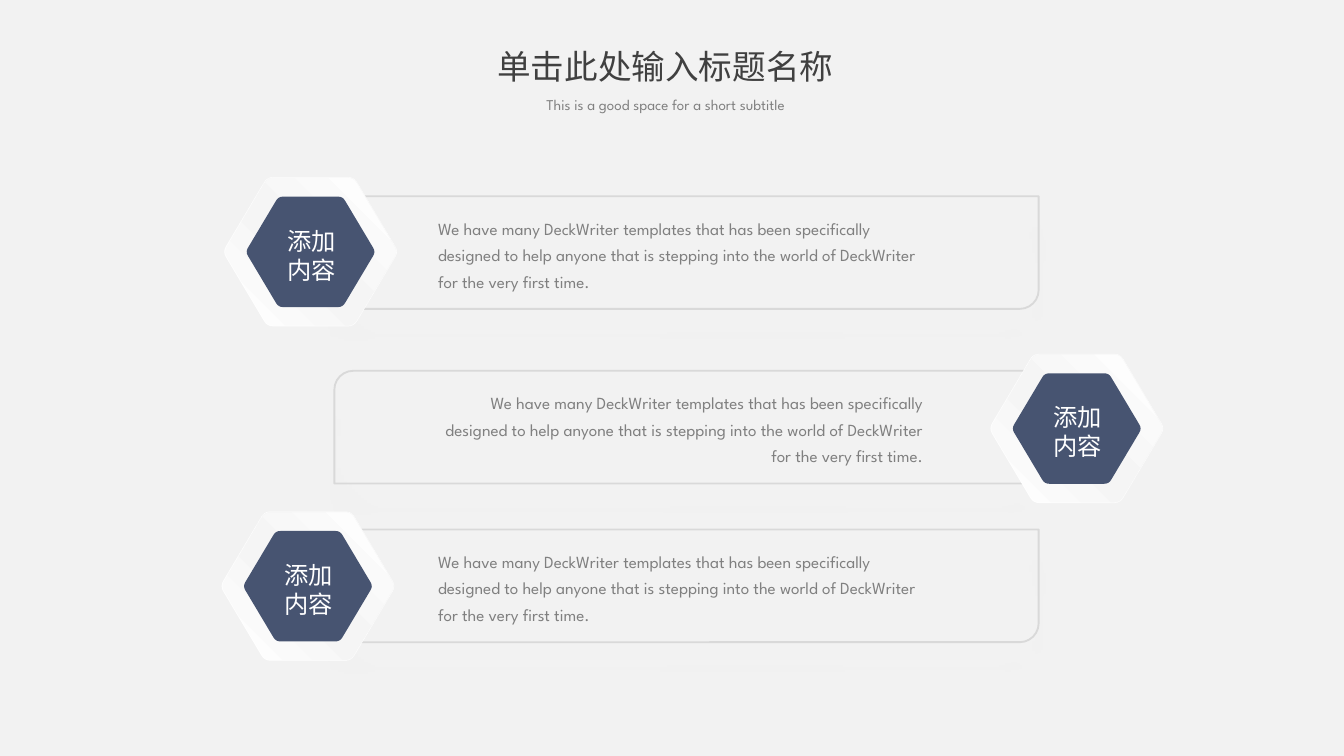
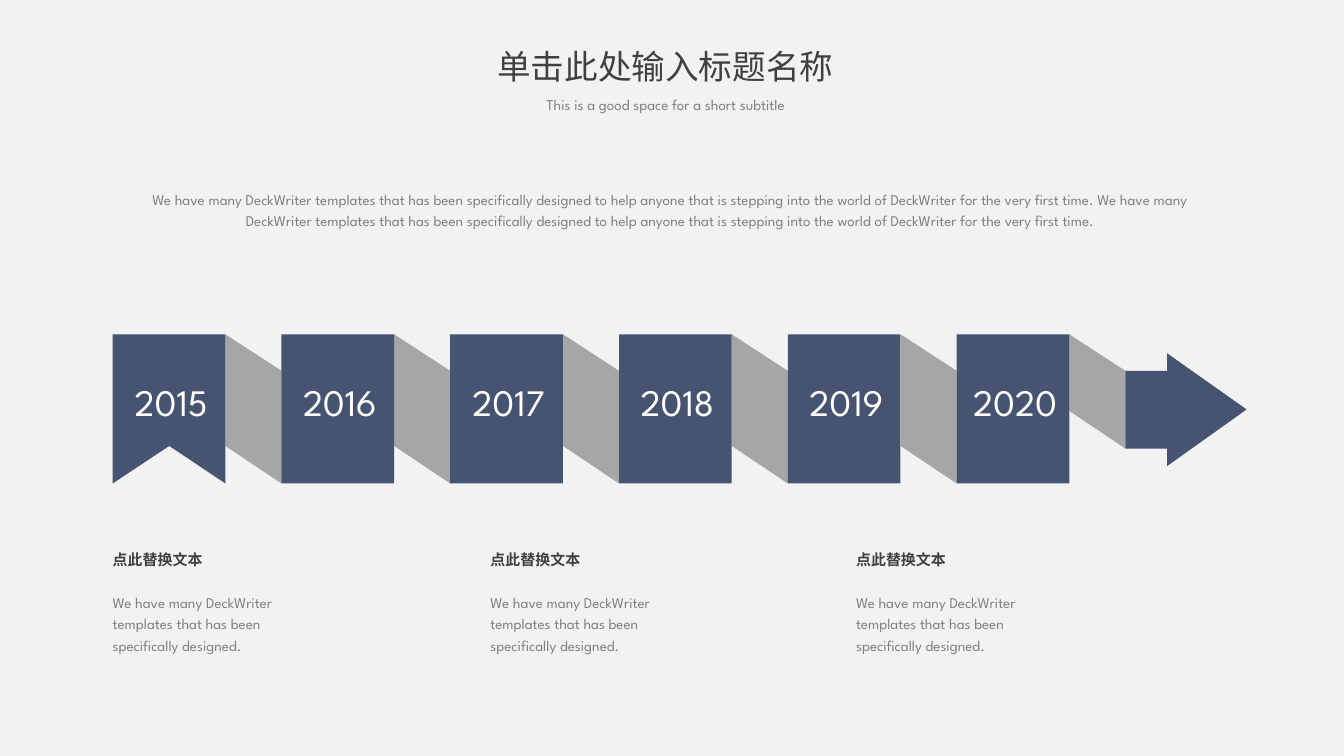
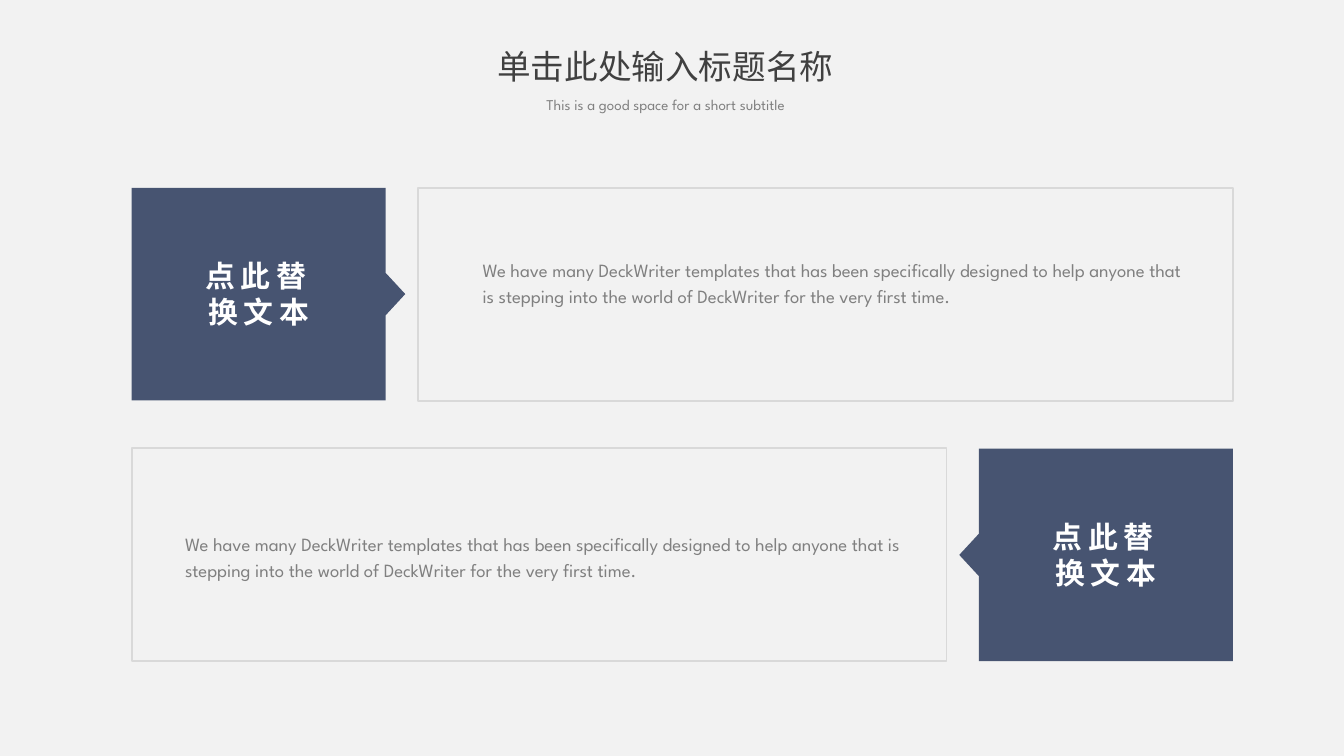
from copy import deepcopy

from lxml.etree import SubElement
from pptx import Presentation
from pptx.dml.color import RGBColor
from pptx.enum.shapes import MSO_SHAPE as Kind
from pptx.enum.text import MSO_ANCHOR as Anchor
from pptx.enum.text import MSO_AUTO_SIZE as Fit
from pptx.enum.text import PP_ALIGN as Align
from pptx.oxml.ns import qn
from pptx.util import Cm, Pt

NAVY = RGBColor(0x47, 0x54, 0x71)
WHITE = RGBColor(0xFF, 0xFF, 0xFF)
PEARL = RGBColor(0xF5, 0xF5, 0xF5)
PAPER = RGBColor(0xF2, 0xF2, 0xF2)
RULE = RGBColor(0xD9, 0xD9, 0xD9)
FOLD = RGBColor(0xA6, 0xA6, 0xA6)
GREY = RGBColor(0x80, 0x80, 0x80)
DARK = RGBColor(0x40, 0x40, 0x40)

LATIN = "League Spartan"
HAN = "Noto Sans CJK SC"

SHORT = "We have many DeckWriter templates that has been specifically designed"
PITCH = (SHORT + " to help anyone that is stepping into the world of "
         "DeckWriter for the very first time.")


def add_run(para, text, size, color, bold=False, font=LATIN, space=0):
    run = para.add_run()
    run.text = text
    run.font.name = font
    run.font.size = Pt(size)
    run.font.bold = bold
    run.font.color.rgb = color
    props = run.font._element
    SubElement(props, qn("a:ea")).set("typeface", HAN)
    if space:
        props.set("spc", str(space * 100))


def add_box(shapes, x, y, w, h, pad=(0, 0, 0, 0), wrap=True, grow=True):
    frame = shapes.add_textbox(Cm(x), Cm(y), Cm(w), Cm(h)).text_frame
    frame.word_wrap = wrap
    frame.auto_size = Fit.SHAPE_TO_FIT_TEXT if grow else Fit.NONE
    (frame.margin_left, frame.margin_top,
     frame.margin_right, frame.margin_bottom) = map(Cm, pad)
    return frame


def add_text(shapes, place, text, size, color, align=Align.LEFT, lead=None,
             pad=(0, 0, 0, 0), wrap=True, **style):
    para = add_box(shapes, *place, pad=pad, wrap=wrap).paragraphs[0]
    para.alignment = align
    if lead:
        para.line_spacing = lead
    add_run(para, text, size, color, **style)


def paint(shape, fill=None, line=None):
    shape.shadow.inherit = False
    if fill is None:
        shape.fill.background()
    else:
        shape.fill.solid()
        shape.fill.fore_color.rgb = fill
    if line is None:
        shape.line.fill.background()
    else:
        shape.line.color.rgb = line
        shape.line.width = Pt(1)


def add_rect(shapes, place, kind=Kind.RECTANGLE, fill=None, line=None):
    shape = shapes.add_shape(kind, *map(Cm, place))
    paint(shape, fill, line)
    return shape


def add_poly(shapes, x, y, points, fill):
    spots = [(Cm(x + dx), Cm(y + dy)) for dx, dy in points]
    pen = shapes.build_freeform(*spots[0])
    pen.add_line_segments(spots[1:], close=True)
    shape = pen.convert_to_shape()
    paint(shape, fill)
    return shape


def blend(a, b, t):
    return a[0] + (b[0] - a[0]) * t, a[1] + (b[1] - a[1]) * t


def hex_points(scale):
    sharp = [(1.66, 0), (0.82, 1.41), (-0.82, 1.41),
             (-1.66, 0), (-0.82, -1.41), (0.82, -1.41)]
    sharp = [(x * scale, y * scale) for x, y in sharp]
    points = []
    for i, tip in enumerate(sharp):
        start = blend(tip, sharp[i - 1], 0.07)
        end = blend(tip, sharp[(i + 1) % 6], 0.07)
        for step in range(5):
            t = step / 4
            points.append(blend(blend(start, tip, t), blend(tip, end, t), t))
    return points


def shade(shape):
    fill = shape.fill
    fill.gradient()
    fill.gradient_angle = 45
    stops = shape._element.spPr.find(".//" + qn("a:gsLst"))
    stops.append(deepcopy(stops[0]))
    tones = [(0, WHITE), (0.47, PEARL), (1, WHITE)]
    for stop, (at, color) in zip(fill.gradient_stops, tones):
        stop.position = at
        stop.color.rgb = color


def add_badge(slide, x, y):
    shapes = slide.shapes.add_group_shape().shapes
    add_poly(shapes, x, y, hex_points(1), WHITE)
    shade(add_poly(shapes, x, y, hex_points(0.99), WHITE))
    add_poly(shapes, x, y, hex_points(0.74), NAVY)
    frame = add_box(shapes, x - 0.69, y - 0.62, 1.83, 1.37,
                    (0.25, 0.13, 0.25, 0.13))
    add_run(frame.paragraphs[0], "添加", 13, WHITE)
    add_run(frame.add_paragraph(), "内容", 13, WHITE)


def add_panel(slide, x, y):
    shape = add_rect(slide.shapes, (x, y, 13.36, 2.13),
                     Kind.ROUND_2_DIAG_RECTANGLE, line=RULE)
    glow = SubElement(shape._element.spPr.find(qn("a:effectLst")),
                      qn("a:outerShdw"), blurRad=str(Pt(22)),
                      dist=str(Pt(13)), dir="5400000", algn="t",
                      rotWithShape="0")
    black = SubElement(glow, qn("a:srgbClr"), val="000000")
    SubElement(black, qn("a:alpha"), val="3000")


def add_fold(slide, x, y, foot):
    points = [(0, 0), (1.06, 0.69), (1.06, foot), (0, foot - 0.71)]
    add_poly(slide.shapes, x, y, points, FOLD)


def add_year(slide, x, y, year, first):
    shapes = slide.shapes.add_group_shape().shapes
    if first:
        flag = [(0, 0), (2.13, 0), (2.13, 2.82), (1.07, 2.11), (0, 2.82)]
        add_poly(shapes, x, y, flag, NAVY)
    else:
        add_rect(shapes, (x, y, 2.13, 2.82), fill=NAVY)
    frame = add_box(shapes, x - 0.23, y + 0.33, 2.67, 1.88,
                    (0.25, 0.13, 0.25, 0.13), grow=False)
    frame.vertical_anchor = Anchor.MIDDLE
    para = frame.paragraphs[0]
    para.alignment = Align.CENTER
    para.space_before = Pt(4)
    add_run(para, str(year), 20, WHITE)


def add_note(slide, x):
    frame = add_box(slide.shapes, x, 10.34, 3.81, 2.06)
    head = frame.paragraphs[0]
    body = frame.add_paragraph()
    head.line_spacing = body.line_spacing = 1.2
    body.space_before = Pt(11.5)
    add_run(head, "点此替换文本", 8, DARK, bold=True)
    add_run(body, SHORT + ".", 8, GREY)


def add_tag(slide, x, y, way):
    points = [(0, 0), (4.8, 0), (4.8, 1.61), (5.17, 2.01),
              (4.8, 2.41), (4.8, 4.02), (0, 4.02)]
    add_poly(slide.shapes, x, y, [(dx * way, dy) for dx, dy in points], NAVY)
    mid = x + 2.4 * way
    add_text(slide.shapes, (mid - 1.22, y + 1.32, 2.44, 1.37), "点此替换文本",
             16, WHITE, Align.CENTER, bold=True, space=3)


def add_title(slide):
    shapes = slide.shapes.add_group_shape().shapes
    pad = (0, 0.13, 0.25, 0.13)
    add_text(shapes, (9.27, 0.74, 6.86, 1.02), "单击此处输入标题名称", 18, DARK,
             Align.CENTER, pad=pad, wrap=False, font=HAN)
    add_text(shapes, (9.93, 1.68, 5.56, 0.61),
             "This is a good space for a short subtitle", 8, GREY,
             Align.CENTER, pad=pad, wrap=False)


def draw_list(slide):
    rows = [(6.27, 3.71, 5.87, 4.76, 8, Align.LEFT),
            (6.32, 7.01, 20.35, 8.1, 7.8, Align.RIGHT),
            (6.27, 10.01, 5.82, 11.08, 8, Align.LEFT)]
    for x, y, hub_x, hub_y, text_x, align in rows:
        add_panel(slide, x, y)
        add_badge(slide, hub_x, hub_y)
        add_text(slide.shapes, (text_x, y + 0.15, 9.93, 1.8), PITCH, 9.1,
                 GREY, align, 1.3, (0.28, 0.15, 0.28, 0.15))


def draw_years(slide):
    left, top, gap = 2.13, 6.32, 3.19
    add_text(slide.shapes, (2.59, 3.53, 20.19, 1.22), PITCH + " " + PITCH, 8,
             GREY, Align.CENTER, 1.2)
    for x in (2.13, 9.27, 16.18):
        add_note(slide, x)
    for i in range(6):
        add_fold(slide, left + i * gap + 2.13, top, 2.16 if i == 5 else 2.82)
    arrow = [(0, 0.69), (0.79, 0.69), (0.79, 0.36), (2.29, 1.42),
             (0.79, 2.49), (0.79, 2.16), (0, 2.16)]
    add_poly(slide.shapes, left + 6 * gap, top, arrow, NAVY)
    for i in range(6):
        add_year(slide, left + i * gap, top, 2015 + i, i == 0)


def draw_pair(slide):
    shapes = slide.shapes
    add_rect(shapes, (7.9, 3.55, 15.4, 4.03), line=RULE)
    add_tag(slide, 2.49, 3.55, 1)
    add_text(shapes, (9.12, 4.8, 13.21, 1.55), PITCH, 10, GREY, lead=1.2)
    add_rect(shapes, (2.49, 8.47, 15.4, 4.03), line=RULE)
    add_tag(slide, 23.3, 8.48, -1)
    add_text(shapes, (3.5, 9.98, 13.79, 1.02), PITCH, 10, GREY, lead=1.2)


def main():
    deck = Presentation()
    deck.slide_width = Cm(25.4)
    deck.slide_height = Cm(14.29)
    for draw in (draw_list, draw_years, draw_pair):
        slide = deck.slides.add_slide(deck.slide_layouts[6])
        slide.background.fill.solid()
        slide.background.fill.fore_color.rgb = PAPER
        draw(slide)
        add_title(slide)
    deck.save("out.pptx")


if __name__ == "__main__":
    main()
